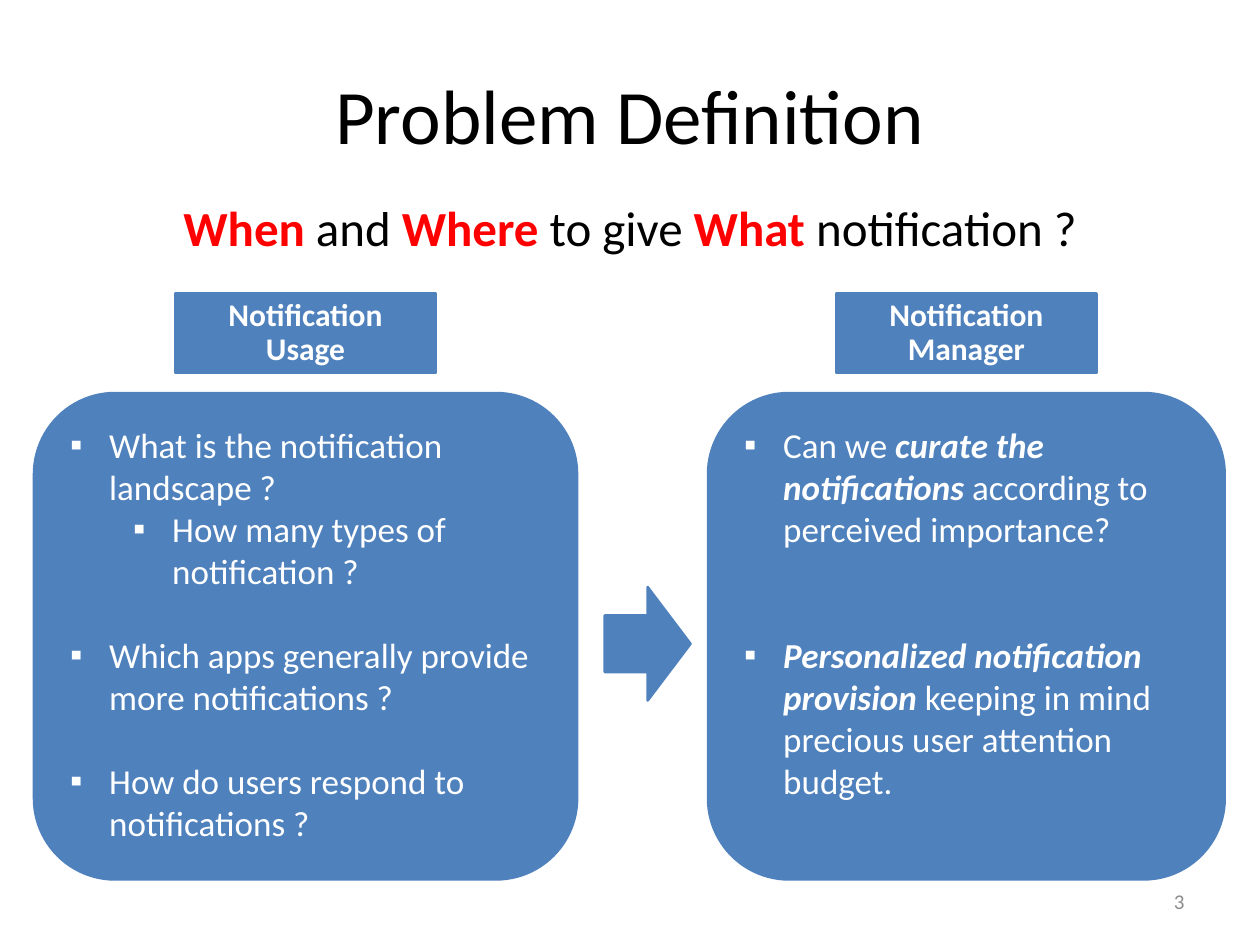
from dataclasses import dataclass

from lxml.etree import SubElement
from pptx import Presentation
from pptx.dml.color import RGBColor
from pptx.enum.shapes import MSO_SHAPE
from pptx.enum.text import MSO_ANCHOR, PP_ALIGN
from pptx.oxml.ns import qn
from pptx.util import Inches, Pt


@dataclass(frozen=True)
class Theme:
    """Colours, font and type sizes of the slide."""
    font: str = "Calibri"
    blue: RGBColor = RGBColor(0x4F, 0x81, 0xBD)
    red: RGBColor = RGBColor(0xFF, 0, 0)
    black: RGBColor = RGBColor(0, 0, 0)
    white: RGBColor = RGBColor(0xFF, 0xFF, 0xFF)
    grey: RGBColor = RGBColor(0x8C, 0x8C, 0x8C)
    title: int = 44
    question: int = 28
    point: int = 20
    heading: int = 18
    number: int = 12


THEME = Theme()
INDENT = Inches(0.31)
SUB_INDENT = Inches(0.5)


def add_text(paragraph, text, size, color=THEME.black, bold=False, italic=False):
    """Append one formatted run to a paragraph."""
    run = paragraph.add_run()
    run.text = text
    run.font.name, run.font.size = THEME.font, Pt(size)
    run.font.bold, run.font.italic = bold, italic
    run.font.color.rgb = color


def add_line(slide, box, align, anchor=MSO_ANCHOR.MIDDLE):
    """Add an empty one-paragraph text box and return its paragraph."""
    frame = slide.shapes.add_textbox(*map(Inches, box)).text_frame
    frame.word_wrap = True
    frame.vertical_anchor = anchor
    frame.paragraphs[0].alignment = align
    return frame.paragraphs[0]


def add_block(slide, kind, box):
    """Add a flat blue shape."""
    block = slide.shapes.add_shape(kind, *map(Inches, box))
    block.shadow.inherit = False
    block.fill.solid()
    block.fill.fore_color.rgb = THEME.blue
    block.line.color.rgb = THEME.blue
    block.line.width = Pt(1.5)
    return block


def set_bullet(paragraph, level):
    """Give a paragraph a square bullet with a hanging indent."""
    paragraph.level = level
    properties = paragraph._p.get_or_add_pPr()
    properties.set("marL", str(INDENT + level * SUB_INDENT))
    properties.set("indent", str(-INDENT))
    SubElement(properties, qn("a:buFont"), typeface="Arial")
    SubElement(properties, qn("a:buChar"), char="▪")


def add_heading(slide, box, heading):
    """Add the label above a panel."""
    frame = add_block(slide, MSO_SHAPE.RECTANGLE, box).text_frame
    frame.word_wrap = True
    frame.margin_left = frame.margin_right = Inches(0.14)
    frame.vertical_anchor = MSO_ANCHOR.MIDDLE
    label = frame.paragraphs[0]
    label.alignment = PP_ALIGN.CENTER
    label.line_spacing = 0.9
    add_text(label, heading, THEME.heading, THEME.white, bold=True)


def add_panel(slide, box, heading, points):
    """Add a rounded panel of points with its heading centred above it."""
    left, top, width, _ = box
    heading_width, heading_height = 2.07, 0.63
    heading_left = left + (width - heading_width) / 2
    add_heading(slide, (heading_left, top - 0.79, heading_width, heading_height), heading)
    frame = add_block(slide, MSO_SHAPE.ROUNDED_RECTANGLE, box).text_frame
    frame.word_wrap = True
    frame.vertical_anchor = MSO_ANCHOR.TOP
    for index, (level, gap, parts) in enumerate(points):
        point = frame.add_paragraph() if index else frame.paragraphs[0]
        point.alignment = PP_ALIGN.LEFT
        point.space_before = Pt(gap)
        set_bullet(point, level)
        for text, strong in parts:
            add_text(point, text, THEME.point, THEME.white, bold=strong, italic=strong)


def add_header(slide, box):
    """Add the title and the guiding question below it."""
    left, top, width, height = box
    title = add_line(slide, (left, top, width, 1.25), PP_ALIGN.CENTER)
    add_text(title, "Problem Definition", THEME.title)
    question_box = (left, top + 1.24, width, height - 1.24)
    question = add_line(slide, question_box, PP_ALIGN.CENTER, MSO_ANCHOR.TOP)
    for text, key in (("When ", True), ("and ", False), ("Where", True),
                      (" to give ", False), ("What", True), (" notification ?", False)):
        add_text(question, text, THEME.question, THEME.red if key else THEME.black, bold=key)


def add_page_number(slide, box, number):
    """Add the page number at the right of its box."""
    add_text(add_line(slide, box, PP_ALIGN.RIGHT), number, THEME.number, THEME.grey)


def main():
    """Build and save the slide."""
    deck = Presentation()
    deck.slide_width, deck.slide_height = Inches(10), Inches(7.5)
    slide = deck.slides.add_slide(deck.slide_layouts[6])
    usage = (
        (0, 0, [("What is the notification landscape ?", False)]),
        (1, 0, [("How many types of notification ?", False)]),
        (0, 24, [("Which apps generally provide more notifications ?", False)]),
        (0, 24, [("How do users respond to notifications ?", False)]),
    )
    manager = (
        (0, 0, [("Can we ", False), ("curate the notifications ", True),
                ("according to perceived importance?", False)]),
        (0, 48, [("Personalized notification provision ", True),
                 ("keeping in mind precious user attention budget.", False)]),
    )
    add_header(slide, (0.5, 0.28, 9, 1.9))
    add_page_number(slide, (7.17, 6.95, 2.33, 0.4), "3")
    add_panel(slide, (0.27, 3.12, 4.31, 3.86), "Notification Usage", usage)
    add_block(slide, MSO_SHAPE.RIGHT_ARROW, (4.8, 4.66, 0.68, 0.9))
    add_panel(slide, (5.62, 3.12, 4.1, 3.86), "Notification Manager", manager)
    deck.save("out.pptx")


if __name__ == "__main__":
    main()
